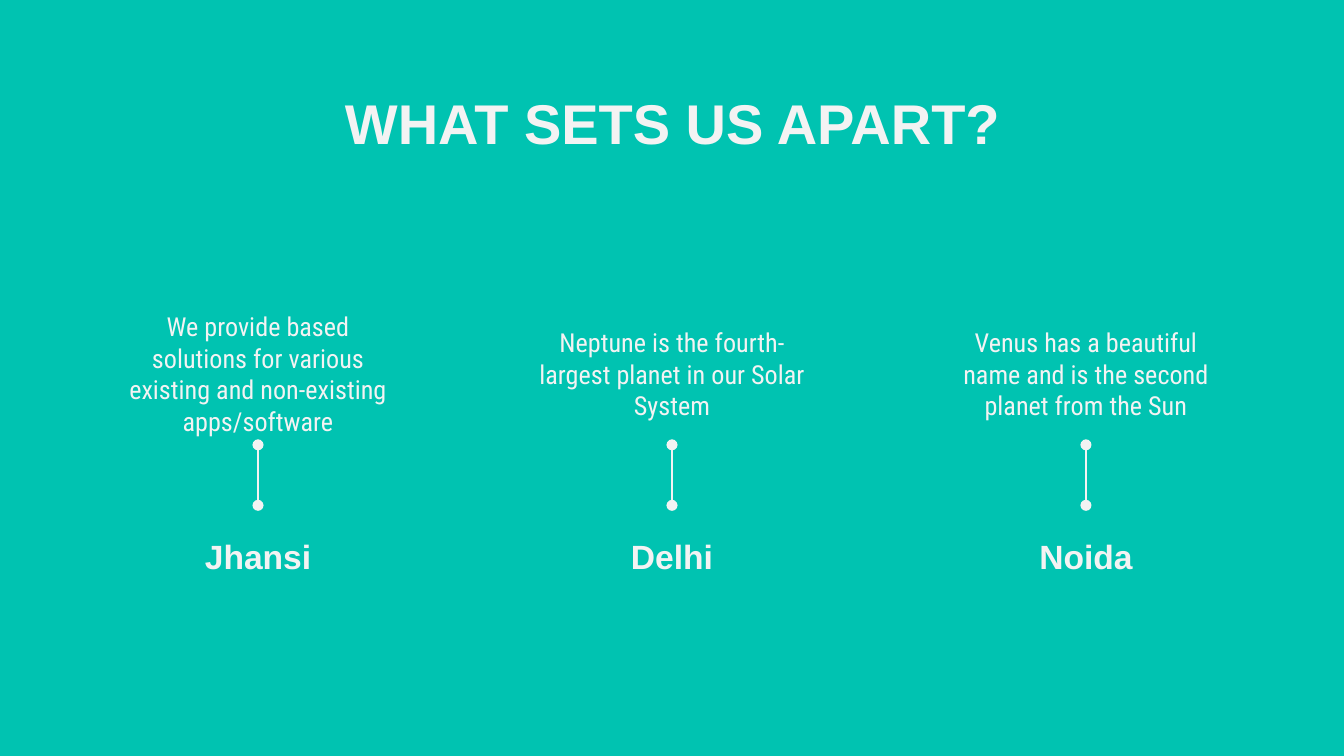
from pptx import Presentation
from pptx.dml.color import RGBColor
from pptx.enum.shapes import MSO_CONNECTOR
from pptx.enum.text import MSO_ANCHOR, MSO_AUTO_SIZE, PP_ALIGN
from pptx.oxml.ns import qn
from pptx.util import Inches, Pt
from lxml import etree

STRAIGHT = MSO_CONNECTOR.STRAIGHT
TOP, MIDDLE = MSO_ANCHOR.TOP, MSO_ANCHOR.MIDDLE
CENTER = PP_ALIGN.CENTER
NO_FIT = MSO_AUTO_SIZE.NONE
TEAL, LIGHT = "00C3B1", "F3F3F3"


def rgb(value):
    return RGBColor.from_string(value)


def write(sp, text, size, font="Arial", bold=True, anchor=MIDDLE, inset=0.1):
    tf = sp.text_frame
    tf.word_wrap = True
    tf.auto_size = NO_FIT
    tf.vertical_anchor = anchor
    tf.margin_left = tf.margin_right = Inches(inset)
    tf.margin_top = tf.margin_bottom = Inches(inset)
    p = tf.paragraphs[0]
    p.alignment = CENTER
    r = p.add_run()
    r.text = text
    r.font.size = Pt(size)
    r.font.name = font
    r.font.bold = bold
    r.font.color.rgb = rgb(LIGHT)


prs = Presentation()
prs.slide_width = Inches(10)
prs.slide_height = Inches(10) * 9 // 16
s = prs.slides.add_slide(prs.slide_layouts[5])
s.background.fill.solid()
s.background.fill.fore_color.rgb = rgb(TEAL)

title = s.shapes.title
title.left, title.top = Inches(0.79), Inches(0.56)
title.width, title.height = Inches(8.43), Inches(0.63)
write(title, "WHAT SETS US APART?", 30, anchor=TOP)

cities = [
    ("Jhansi", "We provide based solutions for various existing and "
               "non-existing apps/software"),
    ("Delhi", "Neptune is the fourth-largest planet in our Solar System"),
    ("Noida", "Venus has a beautiful name and is the second planet from the Sun"),
]
MIDDLE_X, PITCH = 5, 3.08
TEXT_W, CITY_W = 2.25, 1.68
LINE_TOP, LINE_BOTTOM = 3.31, 3.76

for i, (city, description) in enumerate(cities):
    x = MIDDLE_X + (i - 1) * PITCH

    sp = s.shapes.add_textbox(Inches(x - TEXT_W / 2), Inches(2.25),
                              Inches(TEXT_W), Inches(1.06))
    write(sp, description, 14, font="Roboto Condensed", bold=False)

    sp = s.shapes.add_textbox(Inches(x - CITY_W / 2), Inches(LINE_BOTTOM),
                              Inches(CITY_W), Inches(0.75))
    write(sp, city, 18, inset=0)

    line = s.shapes.add_connector(STRAIGHT, Inches(x), Inches(LINE_TOP),
                                  Inches(x), Inches(LINE_BOTTOM))
    line.line.color.rgb = rgb(LIGHT)
    line.line.width = Pt(1.5)
    ln = line._element.spPr.find(qn("a:ln"))
    for end in ("a:headEnd", "a:tailEnd"):
        etree.SubElement(ln, qn(end), type="oval")
    etree.SubElement(line._element.spPr, qn("a:effectLst"))

prs.save("out.pptx")
